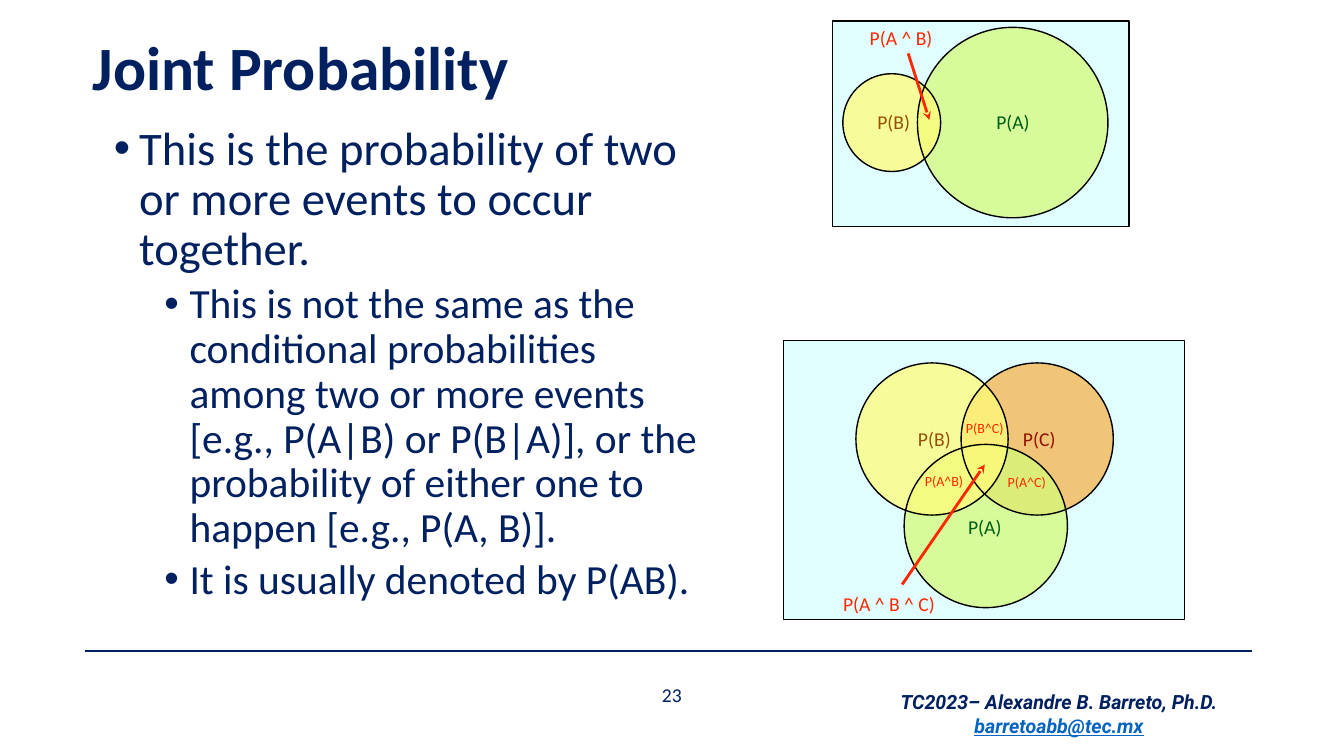
from lxml.etree import SubElement
from pptx import Presentation
from pptx.dml.color import RGBColor
from pptx.enum.shapes import MSO_CONNECTOR, MSO_SHAPE
from pptx.enum.text import MSO_ANCHOR, MSO_AUTO_SIZE, PP_ALIGN
from pptx.oxml.ns import qn
from pptx.util import Inches, Pt

COLS = 40
WIDE, HIGH = Inches(13.33), Inches(7.5)
CELL = WIDE / COLS
NAVY, RED, BLACK = "002060", "FF2600", "000000"
LIME, LEMON, AMBER, SKY = "D4FB79", "FFFC79", "FF9300", "73FDFF"
GREEN, BROWN, WINE = "005D16", "945200", "941100"


def grid(*cells):
    """Turn grid cells into slide lengths."""
    return [round(n * CELL) for n in cells]


def tint(color, code):
    """Set a colour from a hex string."""
    color.rgb = RGBColor.from_string(code)


def style(item, code=None, **form):
    """Apply format values, and a font colour if one is given."""
    for key, value in form.items():
        setattr(item, key, value)
    if code:
        tint(item.color, code)


def write(para, text, code, size, name="Calibri", **form):
    """Add one formatted run to a paragraph."""
    run = para.add_run()
    run.text = text
    style(run.font, code, size=Pt(size), name=name, **form)


def panel(slide, kind, box, fill=None, alpha=100, edge=None):
    """Draw a preset shape with a sheer fill or a thin edge."""
    shape = slide.shapes.add_shape(kind, *grid(*box))
    shape.shadow.inherit = False
    if fill:
        shape.fill.solid()
        tint(shape.fill.fore_color, fill)
        tone = shape.fill._xPr.find(qn("a:solidFill"))[0]
        SubElement(tone, qn("a:alpha"), val=str(alpha * 1000))
    else:
        shape.fill.background()
    if edge:
        tint(shape.line.color, edge)
        shape.line.width = Pt(1)
    else:
        shape.line.fill.background()


def rule(slide, start, end, code, width, arrow=False):
    """Draw a straight line, with an arrowhead at its end on request."""
    line = slide.shapes.add_connector(
        MSO_CONNECTOR.STRAIGHT, *grid(*start, *end))
    tint(line.line.color, code)
    line.line.width = Pt(width)
    if arrow:
        SubElement(line.line._get_or_add_ln(), qn("a:tailEnd"), type="stealth")
    SubElement(line._element.spPr, qn("a:effectLst"))


def label(slide, mid, text, code, size):
    """Centre a short label on a point."""
    x, y = mid
    box = slide.shapes.add_textbox(*grid(x - 2, y - 0.5, 4, 1))
    inset = Inches(0.04)
    style(box.text_frame, word_wrap=False, vertical_anchor=MSO_ANCHOR.MIDDLE,
          margin_left=inset, margin_right=inset,
          margin_top=inset, margin_bottom=inset)
    para = box.text_frame.paragraphs[0]
    para.alignment = PP_ALIGN.CENTER
    write(para, text, code, size)


def venn(slide, box, discs, arrow, tags):
    """Draw a Venn diagram, its parts measured from the box corner."""
    left, top = box[:2]

    def shift(x, y):
        """Move a point into the box."""
        return left + x, top + y

    panel(slide, MSO_SHAPE.RECTANGLE, box, SKY, 22, BLACK)
    rings = []
    for x, y, size, fill, alpha in discs:
        ring = (*shift(x - size / 2, y - size / 2), size, size)
        panel(slide, MSO_SHAPE.OVAL, ring, fill, alpha)
        rings.append(ring)
    for ring in rings:
        panel(slide, MSO_SHAPE.OVAL, ring, edge=BLACK)
    rule(slide, shift(*arrow[0]), shift(*arrow[1]), RED, 2, True)
    for x, y, text, code, size in tags:
        label(slide, shift(x, y), text, code, size)


def place(shape, box, anchor):
    """Move a placeholder onto the grid."""
    style(shape, **dict(zip(("left", "top", "width", "height"), grid(*box))))
    style(shape.text_frame, vertical_anchor=anchor, word_wrap=True,
          auto_size=MSO_AUTO_SIZE.NONE)
    return shape.text_frame


def title(slide, box, text):
    """Fill the title placeholder."""
    para = place(slide.shapes.title, box, MSO_ANCHOR.MIDDLE).paragraphs[0]
    style(para, alignment=PP_ALIGN.LEFT, line_spacing=0.9)
    write(para, text, NAVY, 44, bold=True)


def points(slide, box, items):
    """Fill the body placeholder with bullets on two levels."""
    frame = place(slide.placeholders[1], box, MSO_ANCHOR.TOP)
    for spot, (level, text) in enumerate(items):
        para = frame.add_paragraph() if spot else frame.paragraphs[0]
        props = para._p.get_or_add_pPr()
        props.set("marL", str(Inches(0.25 + 0.5 * level)))
        props.set("indent", str(Inches(-0.25)))
        SubElement(props, qn("a:buFont"), typeface="Arial")
        SubElement(props, qn("a:buChar"), char="•")
        style(para, level=level, line_spacing=0.9, alignment=PP_ALIGN.LEFT,
              space_before=Pt(5 if spot else 0), space_after=Pt(0))
        write(para, text, NAVY, 29.6 if level else 33.3)


def footer(slide, box):
    """Draw the rule, the page number and the author lines."""
    left, top, width, _ = box
    rule(slide, (left, top), (left + width, top), NAVY, 1.5)
    label(slide, (COLS / 2, top + 1.3), "23", NAVY, 14)
    note = slide.shapes.add_textbox(*grid(left + 23.5, top + 1.02, 11, 1.7))
    frame = note.text_frame
    frame.word_wrap = True
    form = dict(name="Roboto", bold=True, italic=True)
    name, mail = frame.paragraphs[0], frame.add_paragraph()
    write(name, "TC2023– Alexandre B. Barreto, Ph.D.", NAVY, 14, **form)
    write(mail, "barretoabb@tec.mx", "0563C1", 14, underline=True, **form)
    name.alignment = mail.alignment = PP_ALIGN.CENTER


def main():
    """Build the slide and save it."""
    deck = Presentation()
    style(deck, slide_width=WIDE, slide_height=HIGH)
    slide = deck.slides.add_slide(deck.slide_layouts[1])
    footer(slide, (2.52, 19.38, 34.74, 3))
    title(slide, (2.46, 0.63, 34, 2.97), "Joint Probability")
    points(slide, (3.09, 3.57, 18.36, 15.66), [
        (0, "This is the probability of two or more events to occur "
            "together."),
        (1, "This is not the same as the conditional probabilities among "
            "two or more events [e.g., P(A|B) or P(B|A)], or the "
            "probability of either one to happen [e.g., P(A, B)]."),
        (1, "It is usually denoted by P(AB)."),
    ])
    venn(slide, (24.78, 0.63, 8.82, 6.12),
         [(5.36, 3.02, 5.67, LIME, 75), (1.76, 3.02, 2.91, LEMON, 75)],
         [(2.25, 0.96), (2.88, 2.94)],
         [(2.04, 0.48, "P(A ^ B)", RED, 14),
          (1.82, 3, "P(B)", BROWN, 14),
          (5.37, 3, "P(A)", GREEN, 14)])
    venn(slide, (23.31, 10.14, 11.94, 8.31),
         [(7.56, 2.93, 4.53, AMBER, 53),
          (6.03, 5.52, 4.86, LIME, 75),
          (4.43, 2.93, 4.53, LEMON, 75)],
         [(3.54, 7.26), (6, 3.69)],
         [(6, 5.54, "P(A)", GREEN, 14),
          (4.5, 2.93, "P(B)", BROWN, 14),
          (7.62, 2.93, "P(C)", WINE, 14),
          (3.15, 7.83, "P(A ^ B ^ C)", RED, 14),
          (4.79, 4.17, "P(A^B)", RED, 10),
          (7.25, 4.2, "P(A^C)", RED, 10),
          (6, 2.61, "P(B^C)", RED, 10)])
    deck.save("out.pptx")


if __name__ == "__main__":
    main()
